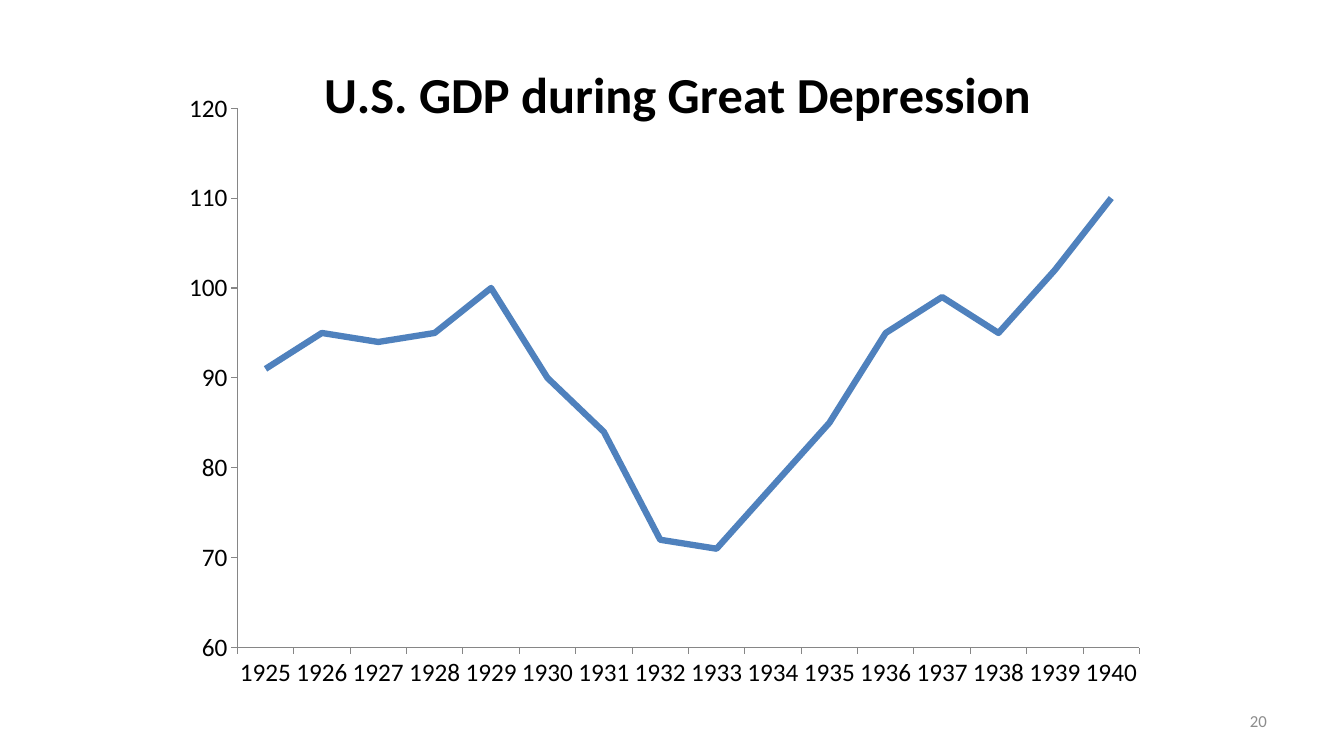
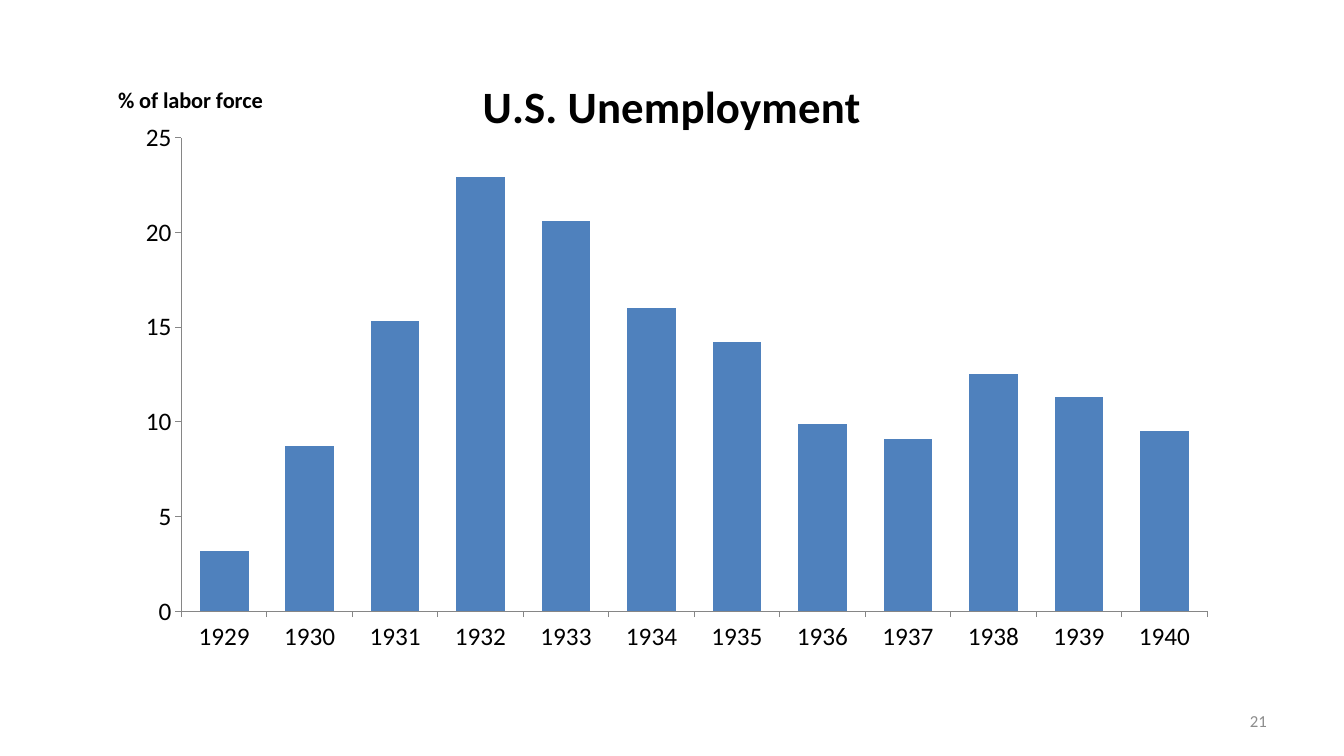
import pptx
import pptx.chart.data
import pptx.dml.color
import pptx.enum.chart
import pptx.enum.text
import pptx.oxml
import pptx.oxml.ns
import pptx.util

COLORS = {
    "text": "000000",
    "series": "4F81BD",
    "axis": "868686",
    "number": "8C8C8C",
}
FONT = "Calibri"
COLUMNS, ROWS = 160, 90
BLANK_LAYOUT = 6


class Deck:
    def __init__(self, first_number):
        self.presentation = pptx.Presentation()
        self.presentation.slide_width = pptx.util.Inches(13.33)
        self.presentation.slide_height = pptx.util.Inches(7.5)
        self.next_number = first_number
        self.slide = None

    def box(self, column, row, columns, rows):
        cell_width = self.presentation.slide_width / COLUMNS
        cell_height = self.presentation.slide_height / ROWS
        return [round(cells * size) for cells, size in (
            (column, cell_width), (row, cell_height),
            (columns, cell_width), (rows, cell_height))]

    def style(self, font, size, color="text", bold=False):
        font.name = FONT
        font.size = pptx.util.Pt(size)
        font.bold = bold
        font.color.rgb = pptx.dml.color.RGBColor.from_string(COLORS[color])

    def add_slide(self):
        layout = self.presentation.slide_layouts[BLANK_LAYOUT]
        self.slide = self.presentation.slides.add_slide(layout)

    def add_number(self):
        shape = self.slide.shapes.add_textbox(*self.box(114.7, 83.4, 37.3, 4.8))
        frame = shape.text_frame
        frame.word_wrap = True
        frame.vertical_anchor = pptx.enum.text.MSO_ANCHOR.MIDDLE
        frame.text = str(self.next_number)
        paragraph = frame.paragraphs[0]
        paragraph.alignment = pptx.enum.text.PP_ALIGN.RIGHT
        self.style(paragraph.runs[0].font, 12, "number")
        self.next_number += 1

    def place(self, parent, index, left, top, width=None, height=None):
        for layout in parent.xpath("c:layout"):
            parent.remove(layout)
        settings = [("xMode", "edge"), ("yMode", "edge"), ("x", left), ("y", top)]
        if width is not None:
            settings.insert(0, ("layoutTarget", "inner"))
            settings += [("w", width), ("h", height)]
        items = "".join(f'<c:{name} val="{value}"/>' for name, value in settings)
        namespace = pptx.oxml.ns.nsdecls("c")
        parent.insert(index, pptx.oxml.parse_xml(
            f"<c:layout {namespace}><c:manualLayout>{items}</c:manualLayout></c:layout>"))

    def add_title(self, title, text, size, left, top):
        frame = title.text_frame
        frame.text = text
        self.style(frame.paragraphs[0].runs[0].font, size, bold=True)
        for properties in title.element.xpath("c:tx/c:rich/a:bodyPr"):
            properties.set("rot", "0")
            properties.set("vert", "horz")
        for overlay in title.element.xpath("c:overlay"):
            overlay.set("val", "1")
        self.place(title.element, 1, left, top)

    def style_axis(self, axis):
        axis.has_major_gridlines = False
        axis.major_tick_mark = pptx.enum.chart.XL_TICK_MARK.OUTSIDE
        axis.minor_tick_mark = pptx.enum.chart.XL_TICK_MARK.NONE
        axis.format.line.width = pptx.util.Pt(0.75)
        axis.format.line.color.rgb = pptx.dml.color.RGBColor.from_string(COLORS["axis"])
        self.style(axis.tick_labels.font, 18)
        for properties in axis._element.xpath("c:txPr/a:bodyPr"):
            properties.set("rot", "0")

    def add_chart(self, kind, first_year, values, box, plot_area, scale):
        data = pptx.chart.data.CategoryChartData()
        data.categories = [str(first_year + offset) for offset in range(len(values))]
        data.add_series("Series 1", values)
        chart = self.slide.shapes.add_chart(kind, *self.box(*box), data).chart
        chart.has_legend = False
        self.style(chart.font, 10)
        self.style_axis(chart.category_axis)
        self.style_axis(chart.value_axis)
        axis = chart.value_axis
        axis.minimum_scale, axis.maximum_scale, axis.major_unit = scale
        chart.plots[0].vary_by_categories = False
        self.place(chart.element.xpath("c:chart/c:plotArea")[0], 0, *plot_area)
        return chart

    def add_line_chart(self, *details):
        chart = self.add_chart(pptx.enum.chart.XL_CHART_TYPE.LINE, *details)
        series = chart.plots[0].series[0]
        series.smooth = False
        series.marker.style = pptx.enum.chart.XL_MARKER_STYLE.NONE
        series.format.line.width = pptx.util.Pt(4.5)
        series.format.line.color.rgb = pptx.dml.color.RGBColor.from_string(COLORS["series"])
        return chart

    def add_column_chart(self, *details):
        chart = self.add_chart(pptx.enum.chart.XL_CHART_TYPE.COLUMN_CLUSTERED, *details)
        plot = chart.plots[0]
        plot.gap_width = 75
        fill = plot.series[0].format.fill
        fill.solid()
        fill.fore_color.rgb = pptx.dml.color.RGBColor.from_string(COLORS["series"])
        return chart


def add_gdp_slide(deck):
    deck.add_slide()
    gdp = [91, 95, 94, 95, 100, 90, 84, 72, 71, 78, 85, 95, 99, 95, 102, 110]
    chart = deck.add_line_chart(
        1925, gdp, (21, 3, 117, 81), (0.062, 0.122, 0.918, 0.793), (60, 120, 10))
    deck.add_title(chart.chart_title, "U.S. GDP during Great Depression", 36, 0.141, 0.037)
    deck.add_number()


def add_unemployment_slide(deck):
    deck.add_slide()
    unemployment = [3.2, 8.7, 15.3, 22.9, 20.6, 16, 14.2, 9.9, 9.1, 12.5, 11.3, 9.5]
    chart = deck.add_column_chart(
        1929, unemployment, (10, 4, 138, 81), (0.084, 0.153, 0.885, 0.696), (0, 25, 5))
    deck.add_title(chart.chart_title, "U.S. Unemployment", 32, 0.337, 0.049)
    deck.add_title(chart.value_axis.axis_title, "% of labor force", 16, 0.026, 0.07)
    deck.add_number()


def main():
    deck = Deck(first_number=20)
    add_gdp_slide(deck)
    add_unemployment_slide(deck)
    deck.presentation.save("out.pptx")


if __name__ == "__main__":
    main()
